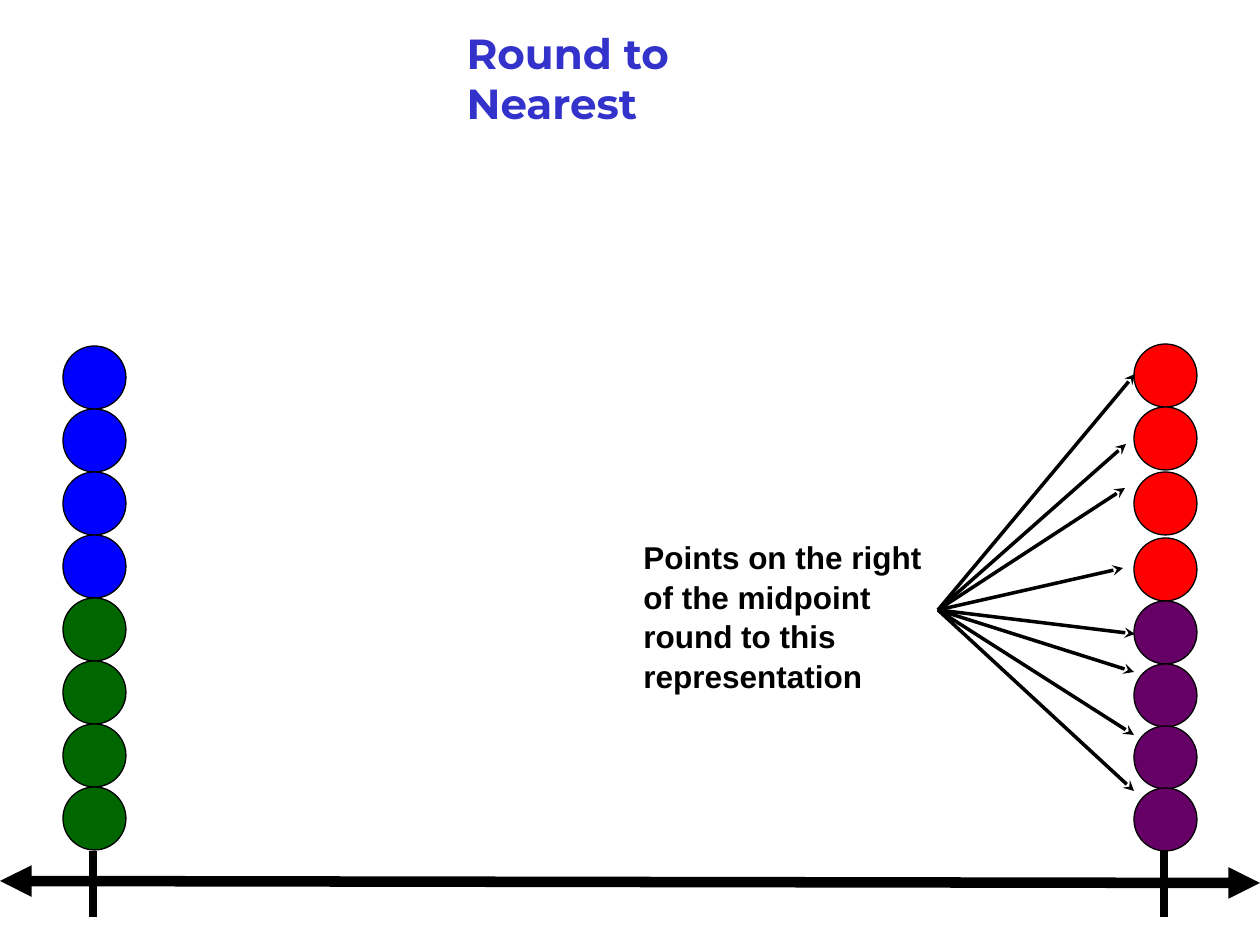
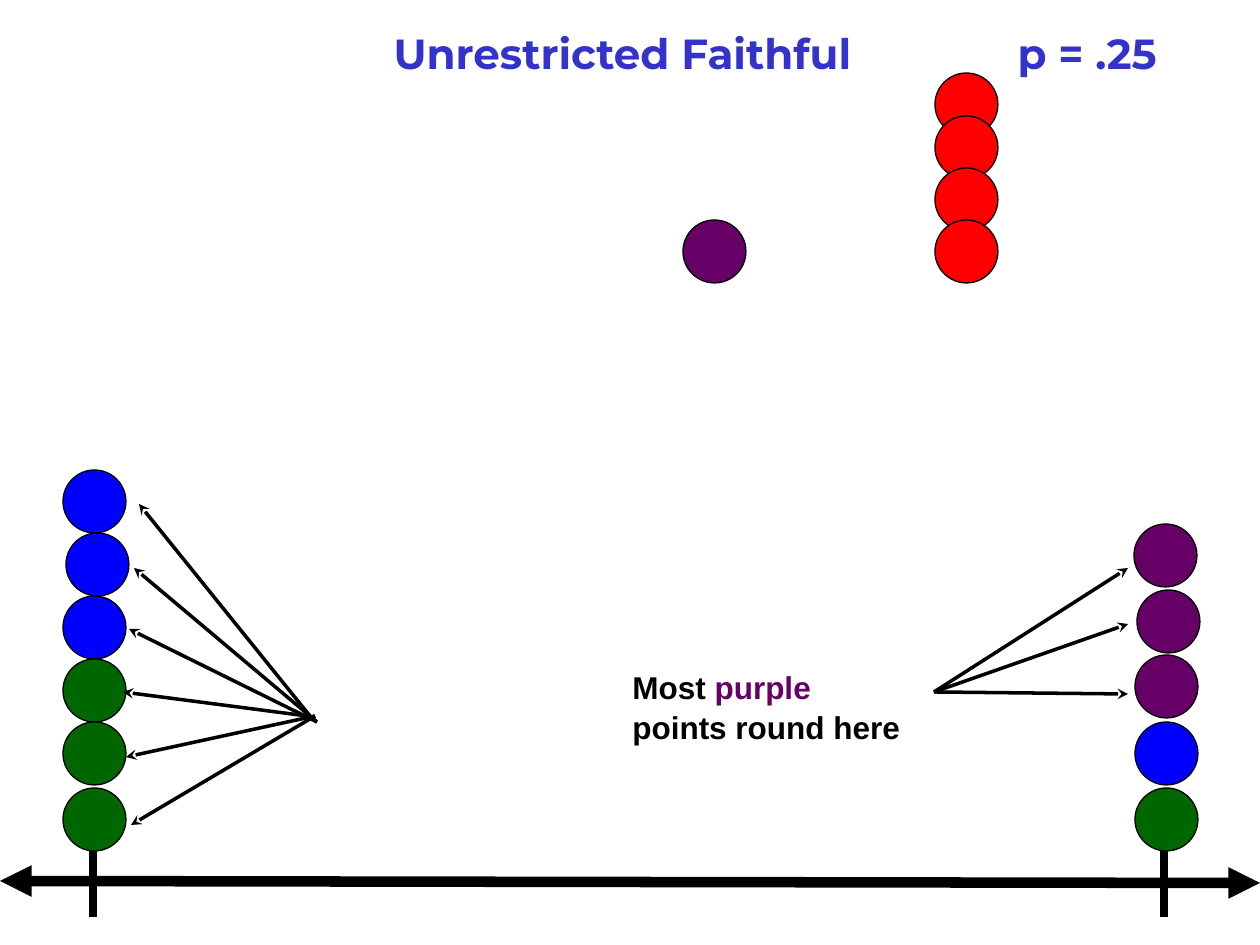
from lxml.etree import SubElement
from pptx import Presentation
from pptx.dml.color import RGBColor
from pptx.enum.shapes import MSO_CONNECTOR, MSO_SHAPE
from pptx.enum.text import MSO_ANCHOR, MSO_AUTO_SIZE, PP_ALIGN
from pptx.oxml.ns import qn
from pptx.util import Emu, Pt

EMU_PER_PX = 914400 / 126
WIDTH, HEIGHT = 1260, 945
DIAMETER = 63
LEFT_X, RIGHT_X = 63, 1134

BLACK = RGBColor(0x00, 0x00, 0x00)
TITLE_BLUE = RGBColor(0x33, 0x33, 0xCC)
BLUE = RGBColor(0x00, 0x00, 0xFF)
GREEN = RGBColor(0x00, 0x66, 0x00)
PURPLE = RGBColor(0x66, 0x00, 0x66)
RED = RGBColor(0xFF, 0x00, 0x00)


def px(*lengths):
    return [Emu(round(length * EMU_PER_PX)) for length in lengths]


def write(frame, *runs, font="Arial", size=18, color=BLACK, spacing=1.0, tab=None):
    """Fill a frame with one bold paragraph; a run is a text or a (text, colour) pair."""
    frame.word_wrap = True
    frame.auto_size = MSO_AUTO_SIZE.NONE
    frame.vertical_anchor = MSO_ANCHOR.TOP
    paragraph = frame.paragraphs[0]
    paragraph.alignment = PP_ALIGN.LEFT
    paragraph.line_spacing = spacing
    if tab:
        tab_list = SubElement(paragraph._p.get_or_add_pPr(), qn("a:tabLst"))
        SubElement(tab_list, qn("a:tab"), pos=str(px(tab)[0]), algn="l")
    for part in runs:
        text, run_color = part if isinstance(part, tuple) else (part, color)
        run = paragraph.add_run()
        run.text = text
        run.font.name = font
        run.font.size = Pt(size)
        run.font.bold = True
        run.font.color.rgb = run_color


def add_title(slide, text, left, top, width, tab=None):
    title = slide.shapes.title
    title.left, title.top, title.width, title.height = px(left, top, width, 63)
    write(title.text_frame, text, font="Montserrat", size=24, color=TITLE_BLUE, tab=tab)


def add_label(slide, left, top, height, *runs):
    label = slide.shapes.add_textbox(*px(left, top, 306, height))
    write(label.text_frame, *runs, spacing=1.05)


def add_points(slide, color, *corners):
    for corner in corners:
        point = slide.shapes.add_shape(MSO_SHAPE.OVAL, *px(*corner, DIAMETER, DIAMETER))
        point.shadow.inherit = False
        point.fill.solid()
        point.fill.fore_color.rgb = color
        point.line.color.rgb = BLACK
        point.line.width = Pt(0.75)


def add_line(shapes, start, end, width, head=None, tail=None):
    line = shapes.add_connector(MSO_CONNECTOR.STRAIGHT, *px(*start, *end))
    line.line.color.rgb = BLACK
    line.line.width = Pt(width)
    outline = line.line._get_or_add_ln()
    for tag, kind in (("a:headEnd", head), ("a:tailEnd", tail)):
        if kind:
            SubElement(outline, qn(tag), type=kind)
    SubElement(line._element.spPr, qn("a:effectLst"))


def add_arrows(slide, start, *targets):
    for target in targets:
        add_line(slide.shapes, start, target, 2, tail="stealth")


def add_number_line(slide):
    shapes = slide.shapes.add_group_shape().shapes
    add_line(shapes, (0, 881), (WIDTH, 883), 6, head="triangle", tail="triangle")
    for tick in (93, 1164):
        add_line(shapes, (tick, 917), (tick, 851), 5)


def build_round_to_nearest(slide):
    add_title(slide, "Round to Nearest", 454, 21, 394)
    left_column = [(LEFT_X, 346 + DIAMETER * row) for row in range(8)]
    right_column = [(RIGHT_X, top) for top in (344, 407, 472, 538, 601, 664, 726, 788)]
    add_points(slide, BLUE, *left_column[:4])
    add_points(slide, GREEN, *left_column[4:])
    add_points(slide, RED, *right_column[:4])
    add_points(slide, PURPLE, *right_column[4:])
    add_number_line(slide)
    add_label(slide, 631, 530, 164,
              "Points on the right of the midpoint round to this representation")
    add_arrows(slide, (938, 610), (1135, 374), (1126, 444), (1125, 488), (1123, 568),
               (1135, 634), (1134, 672), (1134, 735), (1134, 791))


def build_unrestricted_faithful(slide):
    add_title(slide, "Unrestricted Faithful\tp = .25", 381, 21, 870, tab=624)
    add_points(slide, RED, *[(935, top) for top in (73, 116, 168, 220)])
    add_points(slide, BLUE, (LEFT_X, 470), (66, 533), (LEFT_X, 596), (1135, 722))
    add_points(slide, GREEN, *[(LEFT_X, top) for top in (659, 722, 788)], (1135, 788))
    add_points(slide, PURPLE, (683, 220), (RIGHT_X, 524), (1137, 590), (1135, 655))
    add_number_line(slide)
    add_arrows(slide, (315, 716), (131, 825), (126, 757))
    add_arrows(slide, (307, 716), (123, 692))
    add_arrows(slide, (317, 722), (129, 629), (134, 568))
    add_arrows(slide, (310, 716), (139, 504))
    add_arrows(slide, (934, 692), (1128, 568), (1128, 624), (1128, 694))
    add_label(slide, 620, 660, 88, "Most ", ("purple", PURPLE), " points round here")


def main():
    deck = Presentation()
    deck.slide_width, deck.slide_height = px(WIDTH, HEIGHT)
    title_only = deck.slide_layouts[5]
    for build in (build_round_to_nearest, build_unrestricted_faithful):
        build(deck.slides.add_slide(title_only))
    deck.save("out.pptx")


if __name__ == "__main__":
    main()
